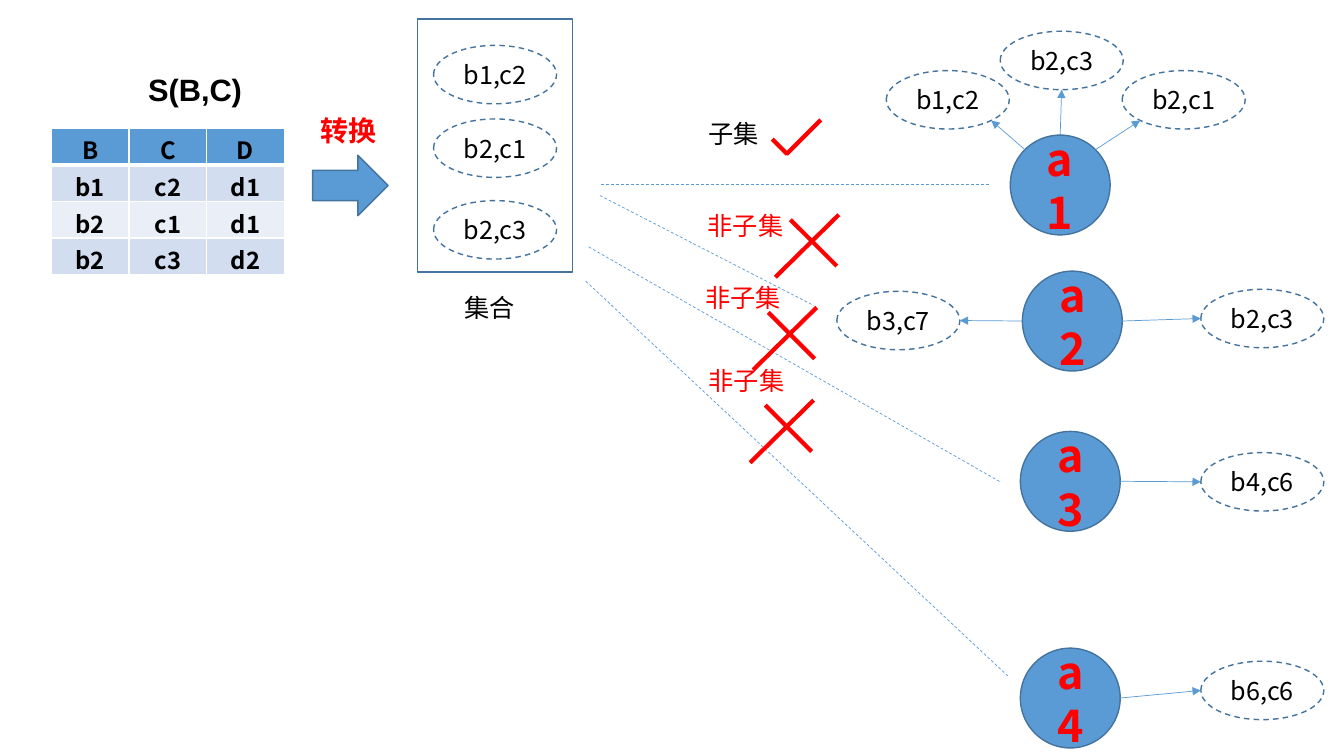
import lxml.etree
import pptx
import pptx.dml.color
import pptx.enum.dml
import pptx.enum.shapes
import pptx.enum.text
import pptx.oxml.ns
import pptx.util

Inches = pptx.util.Inches
Pt = pptx.util.Pt
SHAPE = pptx.enum.shapes.MSO_SHAPE
CENTER = pptx.enum.text.PP_ALIGN.CENTER
DASH = pptx.enum.dml.MSO_LINE.DASH
qn = pptx.oxml.ns.qn


class Theme:
    blue, outline = "5B9BD5", "43739E"
    bands = ("EAEFF7", "D2DEEF")
    black, red, white = "000000", "FF0000", "FFFFFF"
    latin, chinese = "Arial", "Noto Sans CJK SC"
    body, cell, heading, title, node = 18, 17, 20, 22, 32
    hairline, thin, thick = 0.5, 1, 3
    pair_size, node_size = (1.22, 0.58), (0.99, 0.99)


def color(value):
    return pptx.dml.color.RGBColor.from_string(value)


def set_attributes(target, values):
    for name, value in values.items():
        setattr(target, name, value)


class SlideBuilder:
    def __init__(self, slide, theme):
        self.slide, self.theme = slide, theme

    def add_text(self, paragraph, text, size, ink=Theme.black, bold=False, font=Theme.chinese):
        run = paragraph.add_run()
        run.text = text
        set_attributes(run.font, {"size": Pt(size), "bold": bold, "name": font})
        run.font.color.rgb = color(ink)
        east_asian = lxml.etree.SubElement(run.font._element, qn("a:ea"))
        east_asian.set("typeface", font)

    def label(self, text, left, top, width, height, size=Theme.body, **style):
        shape = self.slide.shapes.add_textbox(*map(Inches, (left, top, width, height)))
        frame = shape.text_frame
        set_attributes(frame, {"word_wrap": False,
                               "auto_size": pptx.enum.text.MSO_AUTO_SIZE.SHAPE_TO_FIT_TEXT})
        self.add_text(frame.paragraphs[0], text, size, **style)

    def shape(self, kind, left, top, width, height, fill=None, dash=None):
        shape = self.slide.shapes.add_shape(kind, *map(Inches, (left, top, width, height)))
        shape.shadow.inherit = False
        if fill:
            shape.fill.solid()
            shape.fill.fore_color.rgb = color(fill)
        else:
            shape.fill.background()
        set_attributes(shape.line, {"width": Pt(self.theme.thin), "dash_style": dash})
        shape.line.color.rgb = color(self.theme.outline)
        return shape

    def ellipse(self, text, left, top, dimensions, size, fill=None, dash=None, **style):
        shape = self.shape(SHAPE.OVAL, left, top, *dimensions, fill, dash)
        set_attributes(shape.text_frame, {
            "word_wrap": True, "vertical_anchor": pptx.enum.text.MSO_ANCHOR.MIDDLE})
        paragraph = shape.text_frame.paragraphs[0]
        paragraph.alignment = CENTER
        self.add_text(paragraph, text, size, **style)

    def pair(self, text, left, top):
        self.ellipse(text, left, top, self.theme.pair_size, self.theme.body, dash=DASH)

    def node(self, text, left, top):
        self.ellipse(text, left, top, self.theme.node_size, self.theme.node,
                     fill=self.theme.blue, ink=self.theme.red, bold=True)

    def line(self, start, end, ink=Theme.blue, width=Theme.hairline,
             dash=None, arrow=False, shapes=None):
        connector = (shapes or self.slide.shapes).add_connector(
            pptx.enum.shapes.MSO_CONNECTOR.STRAIGHT, *map(Inches, (*start, *end)))
        set_attributes(connector.line, {"width": Pt(width), "dash_style": dash})
        connector.line.color.rgb = color(ink)
        properties = connector._element.spPr
        if arrow:
            tail = lxml.etree.SubElement(properties.find(qn("a:ln")), qn("a:tailEnd"))
            tail.set("type", "triangle")
        lxml.etree.SubElement(properties, qn("a:effectLst"))

    def mark(self, *strokes):
        group = self.slide.shapes.add_group_shape()
        for start, end in strokes:
            self.line(start, end, self.theme.red, self.theme.thick, shapes=group.shapes)

    def cross(self, x, y):
        self.mark(((x, y), (x + 0.46, y + 0.46)),
                  ((x + 0.48, y - 0.05), (x - 0.15, y + 0.57)))

    def table(self, rows, left, top, column_width, row_height):
        theme = self.theme
        table = self.slide.shapes.add_table(
            len(rows), len(rows[0]), Inches(left), Inches(top),
            Inches(column_width * len(rows[0])), Inches(row_height * len(rows))).table
        for column in table.columns:
            column.width = Inches(column_width)
        for index, values in enumerate(rows):
            table.rows[index].height = Inches(row_height)
            for position, text in enumerate(values):
                cell = table.cell(index, position)
                set_attributes(cell, {"margin_left": Inches(0.1), "margin_right": Inches(0.1),
                                      "margin_top": Inches(0.04), "margin_bottom": Inches(0.04)})
                paragraph = cell.text_frame.paragraphs[0]
                paragraph.alignment = CENTER
                self.add_text(paragraph, text, theme.cell, bold=True)
                self.borders(cell, theme.thin if index else theme.thick)
                cell.fill.solid()
                cell.fill.fore_color.rgb = color(theme.bands[index % 2] if index else theme.blue)

    def borders(self, cell, bottom):
        properties = cell._tc.get_or_add_tcPr()
        thin = self.theme.thin
        for side, width in {"L": thin, "R": thin, "T": thin, "B": bottom}.items():
            edge = lxml.etree.SubElement(properties, qn("a:ln" + side), w=str(Pt(width)))
            fill = lxml.etree.SubElement(edge, qn("a:solidFill"))
            lxml.etree.SubElement(fill, qn("a:srgbClr"), val=self.theme.white)


def rim(corner, dimensions, across, down):
    """Point on an ellipse's edge in the direction (across, down)."""
    length = (across ** 2 + down ** 2) ** 0.5
    return tuple(start + extent / 2 * (1 + step / length)
                 for start, extent, step in zip(corner, dimensions, (across, down)))


def main():
    presentation = pptx.Presentation()
    set_attributes(presentation, {"slide_width": Inches(13.33), "slide_height": Inches(7.5)})
    theme = Theme()
    builder = SlideBuilder(presentation.slides.add_slide(presentation.slide_layouts[6]), theme)

    # Source table and conversion arrow
    builder.label("S(B,C)", 1.37, 0.65, 1.15, 0.47, theme.title, bold=True, font=theme.latin)
    builder.table([("B", "C", "D"), ("b1", "c2", "d1"), ("b2", "c1", "d1"), ("b2", "c3", "d2")],
                  0.51, 1.27, 0.77, 0.36)
    builder.label("转换", 3.08, 1.08, 0.76, 0.44, theme.heading, ink=theme.red, bold=True)
    builder.shape(SHAPE.RIGHT_ARROW, 3.1, 1.54, 0.75, 0.6, fill=theme.blue)

    # Set of pairs
    builder.shape(SHAPE.RECTANGLE, 4.14, 0.19, 1.54, 2.51)
    for text, top in (("b1,c2", 0.45), ("b2,c1", 1.18), ("b2,c3", 1.99)):
        builder.pair(text, 4.3, top)
    builder.label("集合", 4.51, 2.85, 0.71, 0.4)

    # Nodes, each with its pairs and the direction of the arrow to them
    nodes = [
        ("a1", (10.02, 1.34), [("b1,c2", (8.79, 0.7), (-1, -1)),
                               ("b2,c3", (9.92, 0.31), (0, -1)),
                               ("b2,c1", (11.13, 0.7), (1, -1))]),
        ("a2", (10.14, 2.69), [("b3,c7", (8.3, 2.89), (-1, 0)),
                               ("b2,c3", (11.91, 2.87), (1, 0))]),
        ("a3", (10.12, 4.28), [("b4,c6", (11.91, 4.49), (1, 0))]),
        ("a4", (10.12, 6.43), [("b6,c6", (11.91, 6.56), (1, 0))]),
    ]
    for name, corner, pairs in nodes:
        builder.node(name, *corner)
        for text, pair_corner, (across, down) in pairs:
            builder.pair(text, *pair_corner)
            builder.line(rim(corner, theme.node_size, across, down),
                         rim(pair_corner, theme.pair_size, -across, -down), arrow=True)

    # Comparisons between the set and each node
    for start, end in (((5.96, 1.83), (9.82, 1.83)), ((5.95, 1.94), (8.07, 3.03)),
                       ((5.84, 2.45), (9.92, 4.78)), ((5.81, 2.79), (10, 6.71))):
        builder.line(start, end, dash=DASH)

    # Verdicts
    builder.label("子集", 6.93, 1.12, 0.71, 0.4)
    builder.mark(((7.66, 1.38), (7.81, 1.53)), ((8.14, 1.19), (7.8, 1.53)))
    for label_corner, cross_corner in (((6.92, 2.04), (7.84, 2.18)),
                                       ((6.9, 2.75), (7.62, 3.1)),
                                       ((6.93, 3.58), (7.59, 4.02))):
        builder.label("非子集", *label_corner, 0.97, 0.4, ink=theme.red)
        builder.cross(*cross_corner)

    presentation.save("out.pptx")


if __name__ == "__main__":
    main()
